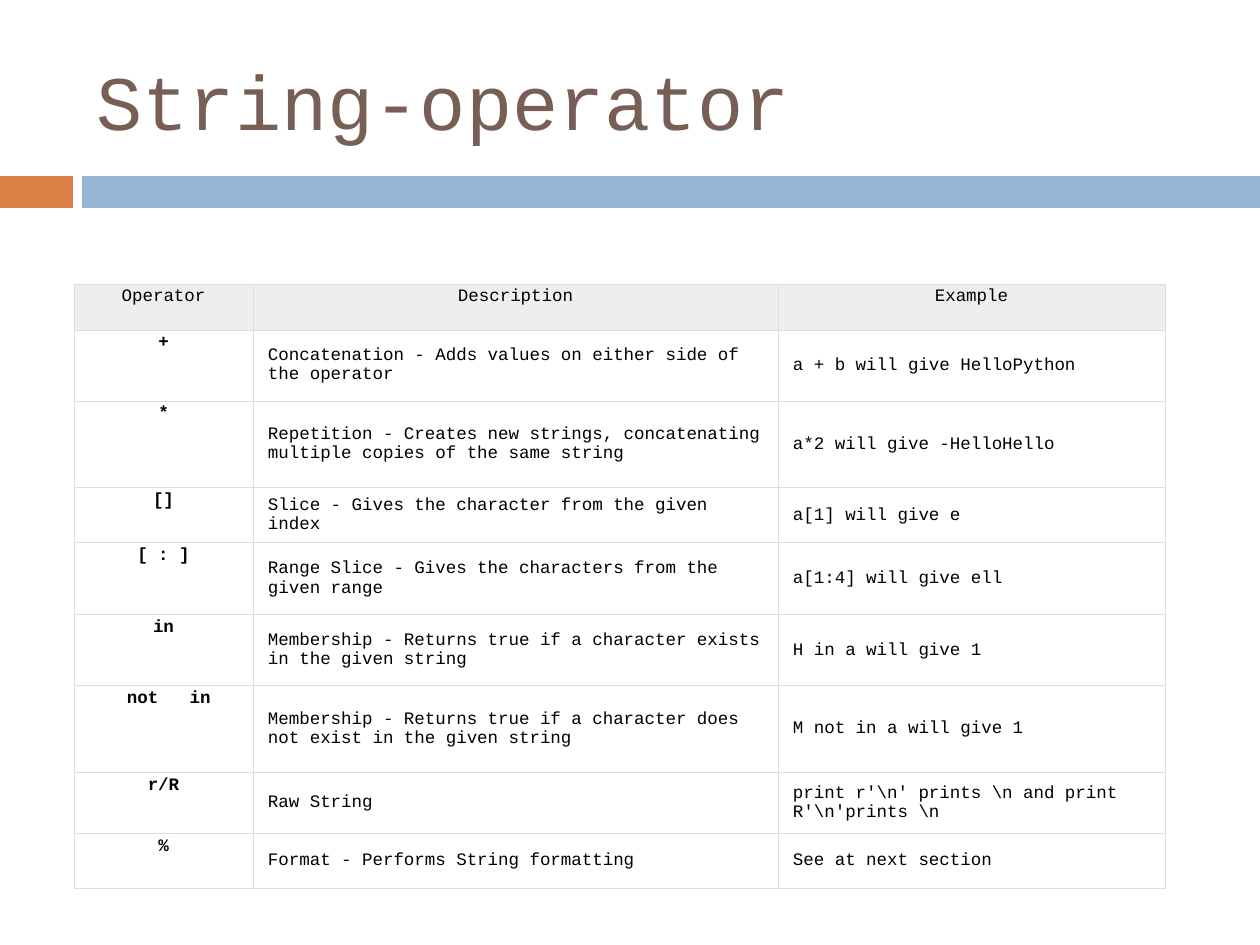
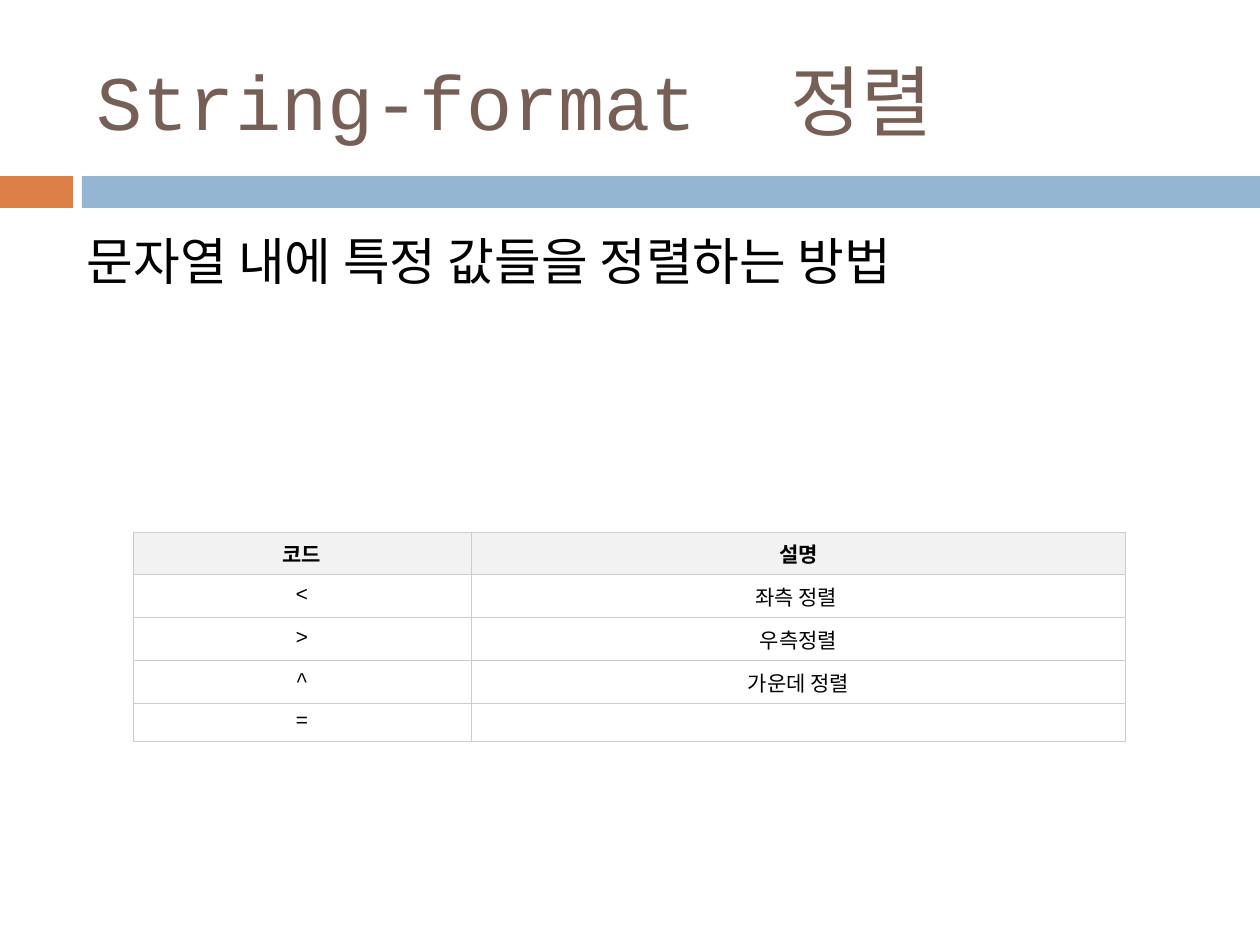
from lxml import etree
from pptx import Presentation
from pptx import util as u
from pptx.dml import color
from pptx.enum import shapes, text
from pptx.oxml import ns

SCALE = 914400 / 126
FONT = "Courier New"
BROWN, ORANGE, BLUE = "775F55", "DD8047", "94B6D2"
BLACK, WHITE = "000000", "FFFFFF"
LEFT, MID = text.PP_ALIGN.LEFT, text.PP_ALIGN.CENTER
TOP, CENTRE = text.MSO_ANCHOR.TOP, text.MSO_ANCHOR.MIDDLE

OPS = [
    ("Operator", "Description", "Example"),
    ("+", "Concatenation - Adds values on either side of the operator",
     "a + b will give HelloPython"),
    ("*", "Repetition - Creates new strings, concatenating multiple copies of the same string",
     "a*2 will give -HelloHello"),
    ("[]", "Slice - Gives the character from the given index", "a[1] will give e"),
    ("[ : ]", "Range Slice - Gives the characters from the given range",
     "a[1:4] will give ell"),
    ("in", "Membership - Returns true if a character exists in the given string",
     "H in a will give 1"),
    (" not   in", "Membership - Returns true if a character does not exist in the given string",
     "M not in a will give 1"),
    ("r/R", "Raw String", "print r'\\n' prints \\n and print R'\\n'prints \\n"),
    ("%", "Format - Performs String formatting", "See at next section"),
]
CODES = [("코드", "설명"), ("<", "좌측 정렬 "), (">", "우측정렬"),
         ("^", "가운데 정렬"), ("=", "")]


def px(n):
    return u.Emu(round(n * SCALE))


def rgb(tone):
    return color.RGBColor.from_string(tone)


def write(par, words, size, tone=BLACK, bold=False, align=LEFT):
    par.alignment = align
    if not words:
        etree.SubElement(par._p, ns.qn("a:endParaRPr"), sz=str(size * 100))
        return
    run = par.add_run()
    run.text = words
    run.font.name = FONT
    run.font.size = u.Pt(size)
    run.font.bold = bold
    run.font.color.rgb = rgb(tone)


def band(slide, left, width, tone):
    bar = slide.shapes.add_shape(shapes.MSO_SHAPE.RECTANGLE,
                                 px(left), px(176), px(width), px(32))
    bar.shadow.inherit = False
    bar.fill.solid()
    bar.fill.fore_color.rgb = rgb(tone)
    bar.line.fill.background()


def page(deck, words):
    slide = deck.slides.add_slide(deck.slide_layouts[5])
    band(slide, 0, 73, ORANGE)
    band(slide, 82, 1178, BLUE)
    title = slide.shapes.title
    title.left, title.top, title.width, title.height = map(px, (84, 32, 1124, 136))
    title.text_frame.vertical_anchor = CENTRE
    write(title.text_frame.paragraphs[0], words, 44, BROWN)
    return slide


def note(slide, words):
    box = slide.shapes.add_textbox(px(63), px(224), px(1134), px(218))
    box.text_frame.word_wrap = True
    par = box.text_frame.paragraphs[0]
    par.space_before = u.Pt(7)
    write(par, words, 29)


def border(cell, tone):
    props = cell._tc.get_or_add_tcPr()
    for side in ("lnL", "lnR", "lnT", "lnB"):
        line = etree.SubElement(props, ns.qn("a:" + side), w=str(u.Pt(0.6)))
        fill = etree.SubElement(line, ns.qn("a:solidFill"))
        etree.SubElement(fill, ns.qn("a:srgbClr"), val=tone)


def style(cell, words, size, fill, edge, pad, bold, align, anchor):
    border(cell, edge)
    cell.fill.solid()
    cell.fill.fore_color.rgb = rgb(fill)
    cell.margin_left = cell.margin_right = px(pad[0])
    cell.margin_top = cell.margin_bottom = px(pad[1])
    cell.vertical_anchor = anchor
    write(cell.text_frame.paragraphs[0], words, size, bold=bold, align=align)


def grid(slide, left, top, cols, rows, data, size, head, edge, look):
    frame = slide.shapes.add_table(len(rows), len(cols), px(left), px(top),
                                   px(sum(cols)), px(sum(rows)))
    table = frame.table
    for col, width in zip(table.columns, cols):
        col.width = px(width)
    for row, height in zip(table.rows, rows):
        row.height = px(height)
    for r, line in enumerate(data):
        for c, words in enumerate(line):
            fill = WHITE if r else head
            style(table.cell(r, c), words, size, fill, edge, *look(r, c))


def op_look(r, c):
    if r and c:
        return (15, 3), False, LEFT, CENTRE
    return (3, 3), r > 0, MID, TOP


def code_look(r, c):
    return (14, 6), r == 0, MID, CENTRE


def main():
    deck = Presentation()
    deck.slide_width, deck.slide_height = px(1260), px(945)

    slide = page(deck, "String-operator")
    grid(slide, 74, 284, (179, 525, 387), (46, 71, 87, 55, 72, 71, 87, 61, 55),
         OPS, 10, "EEEEEE", "DDDDDD", op_look)

    slide = page(deck, "String-format  정렬")
    note(slide, " 문자열 내에 특정 값들을 정렬하는 방법")
    grid(slide, 133, 532, (338, 655), (43, 43, 43, 43, 36),
         CODES, 12, "F2F2F2", "CCCCCC", code_look)

    deck.save("out.pptx")


if __name__ == "__main__":
    main()
